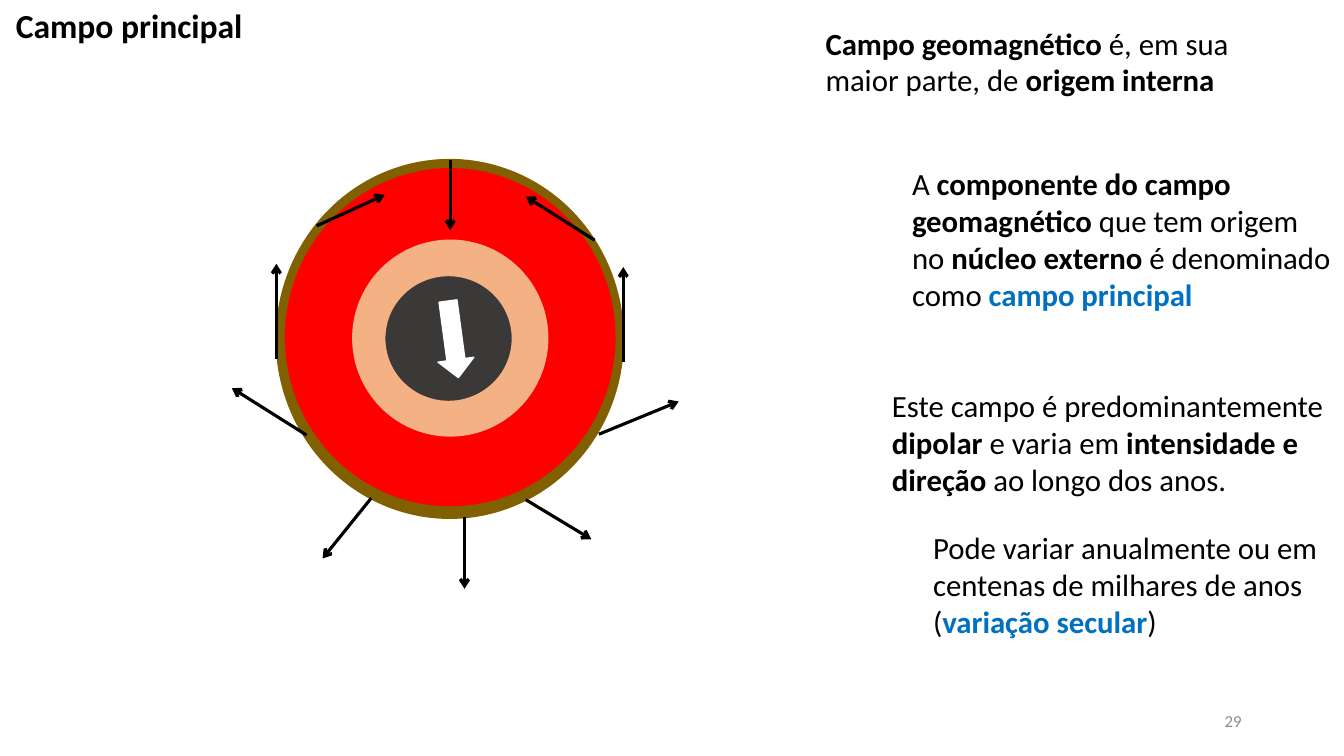
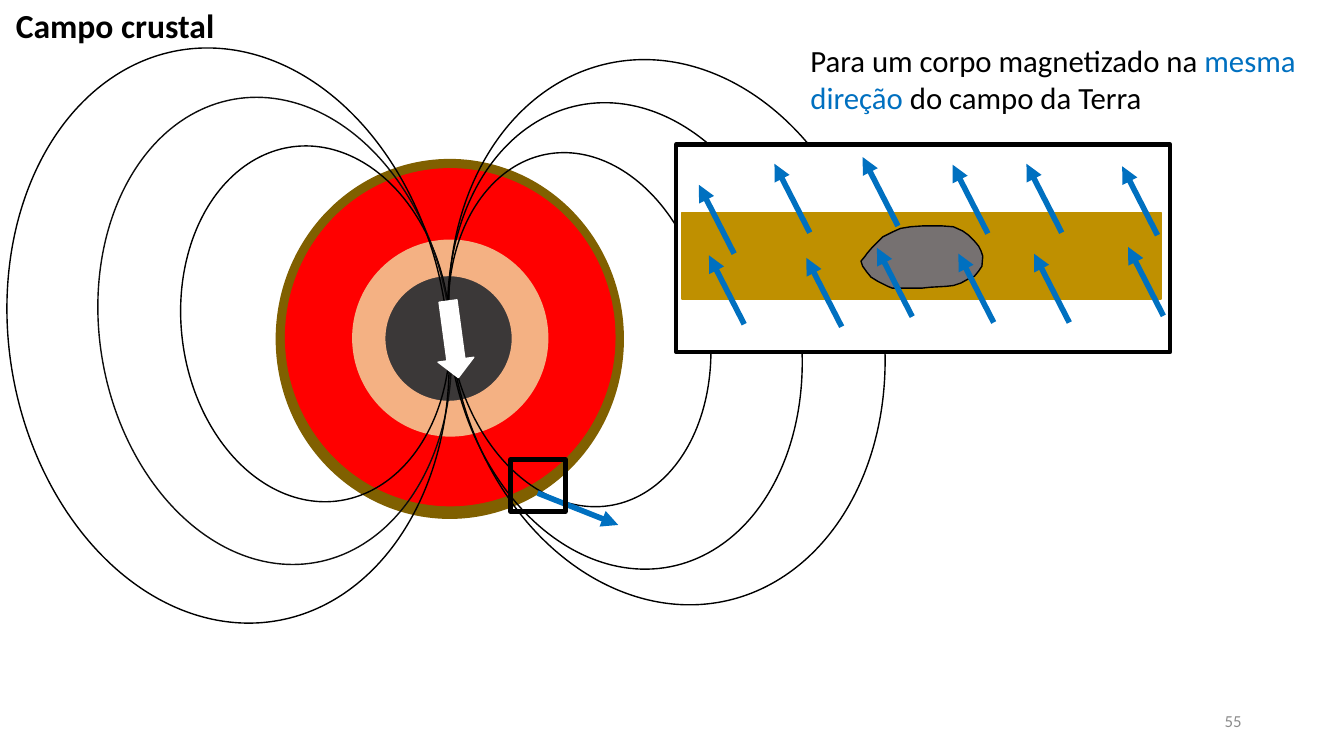
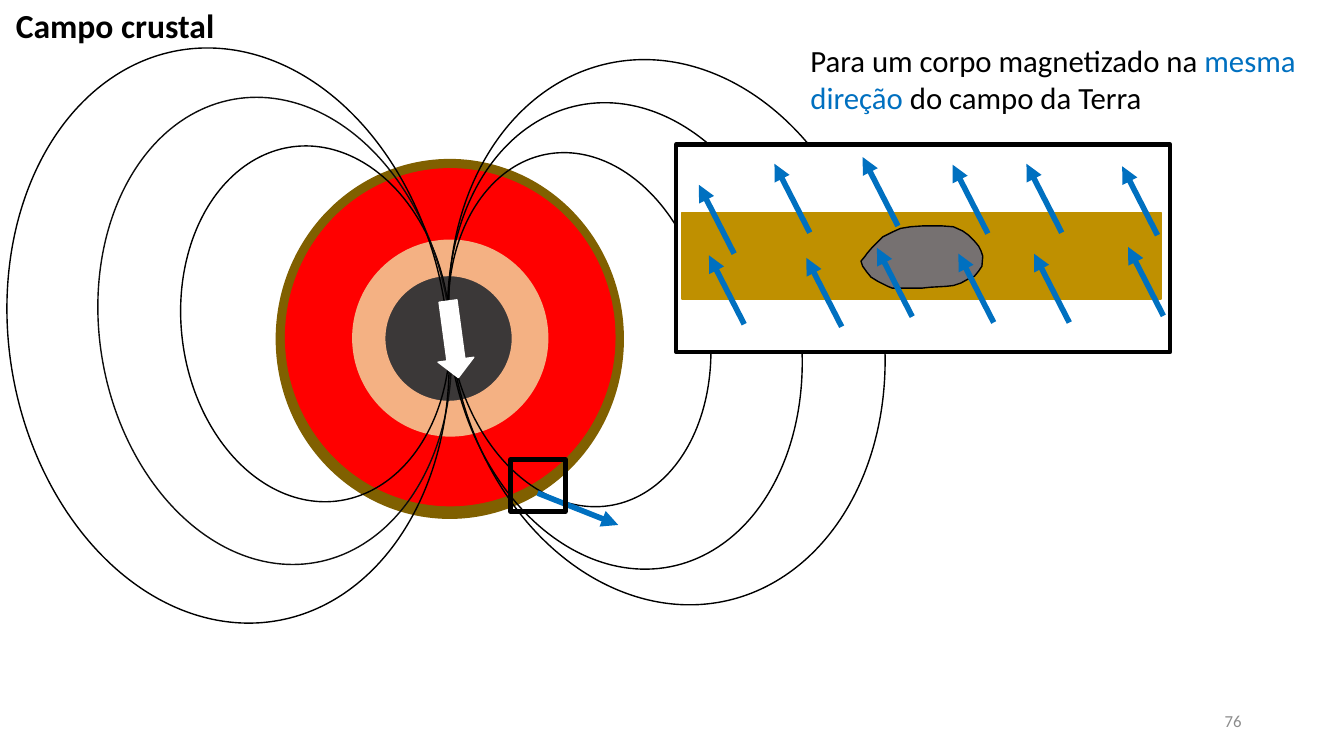
import lxml.etree
import pptx
import pptx.dml.color
import pptx.enum.shapes
import pptx.enum.text
import pptx.oxml.ns
import pptx.util

SHAPE = pptx.enum.shapes.MSO_SHAPE
FONT = "Calibri"
BLACK, WHITE, BLUE, GREY = "000000", "FFFFFF", "0070C0", "8C8C8C"

# Every length below is in cells of a grid of 160 columns by 90 rows
COLUMNS = 160
SLIDE_W, SLIDE_H = pptx.util.Inches(13.333), pptx.util.Inches(7.5)
CELL = SLIDE_W / COLUMNS

# Earth layers, from the crust inwards: box, fill, line
EARTH = [
    ((32.9, 19, 41.3, 42.7), "806000", "806000"),
    ((34, 20.1, 39.2, 40.1), "FF0000", "FF0000"),
    ((42, 28.6, 23.2, 23.3), "F4B183", "F4B183"),
    ((45.8, 32.8, 15.2, 15), "3B3838", "F4B183"),
]

# Field vectors on the Earth's surface: start, end
SURFACE_FIELD = [
    ((55.3, 61.6), (55.3, 70.1)),
    ((62.6, 59.5), (70.4, 64.2)),
    ((71.3, 51.7), (80.8, 47.8)),
    ((74.2, 43.1), (74.2, 31.8)),
    ((70.8, 28.6), (62.6, 23.4)),
    ((53.6, 19), (53.6, 27.4)),
    ((37.7, 26.9), (45.8, 23.2)),
    ((32.9, 42.7), (32.9, 31.4)),
    ((44.2, 59.3), (38.4, 66.5)),
    ((36.5, 51.8), (27.6, 46.2)),
]

# Dipole field lines: box, rotation, line
FIELD_LINES = [
    ((21.6, 17.3, 31.9, 42.5), 352.9, BLACK),
    ((53.6, 18, 30.8, 42.5), 349.3, BLACK),
    ((11.9, 11.4, 41.6, 56), 350, "0D0D0D"),
    ((53.6, 12, 41.6, 56), 348.9, BLACK),
    ((53.8, 6.8, 51.2, 65.5), 347.6, BLACK),
    ((1.1, 5.5, 52.1, 68.9), 350.3, BLACK),
]

# Parallel vectors in the enlarged view: common step, starting points
LOCAL_STEP = (-4.2, -8.2)
LOCAL_FIELD = [
    (96.4, 27.7), (106.9, 26.9), (118.3, 38.4), (108.6, 37.7),
    (100.2, 38.9), (127.3, 38.4), (126.4, 27.7), (137.8, 28),
    (138.5, 37.6), (88.6, 38.6), (87.4, 30.2), (117.6, 27.8),
]

# Outline of the magnetized body
BODY = [
    (102.5, 31.1), (103, 30.5), (103.2, 30.2), (103.8, 29.5),
    (104.5, 28.8), (105.1, 28.2), (106.3, 27.6), (107.2, 27.2),
    (108.4, 27), (109.8, 26.9), (112.2, 26.9), (113.5, 27),
    (114.6, 27.5), (115.3, 28), (116, 28.7), (116.5, 29.3),
    (116.8, 29.9), (117, 30.5), (116.9, 31.7), (116.5, 32.3),
    (116, 32.9), (115.3, 33.2), (114.4, 33.7), (113.5, 34),
    (112.6, 34.1), (110.8, 34.2), (109.8, 34.3), (106.2, 34.3),
    (105.7, 34.1), (104.5, 33.5), (103.7, 33), (103.2, 32.4),
    (102.7, 31.7),
]

# Texts of the main field slide: box, runs as (text, bold, colour)
MAIN_TEXTS = [
    ((97.1, 2.3, 51.8, 10.1), [
        ("Campo geomagnético ", True, BLACK),
        ("é, em sua maior parte, de ", False, BLACK),
        ("origem interna", True, BLACK)]),
    ((107.4, 19, 52.3, 19), [
        ("A ", False, BLACK),
        ("componente do campo geomagnético ", True, BLACK),
        ("que tem origem no ", False, BLACK),
        ("núcleo externo", True, BLACK),
        (" é denominado como ", False, BLACK),
        ("campo principal", True, BLUE)]),
    ((105, 45.5, 59.4, 14.5), [
        ("Este campo é predominantemente ", False, BLACK),
        ("dipolar", True, BLACK),
        (" e varia em ", False, BLACK),
        ("intensidade e direção", True, BLACK),
        (" ao longo dos anos.", False, BLACK)]),
    ((109.9, 62.4, 49.6, 14.5), [
        ("Pode variar anualmente ou em centenas de milhares de anos (",
         False, BLACK),
        ("variação secular", True, BLUE),
        (")", False, BLACK)]),
]
CRUSTAL_TEXT = ((95.3, 4.4, 60.8, 10.1), [
    ("Para um corpo magnetizado na ", False, BLACK),
    ("mesma direção ", False, BLUE),
    ("do campo da Terra", False, BLACK)])


def rgb(value):
    return pptx.dml.color.RGBColor.from_string(value)


def grid(*cells):
    return [pptx.util.Emu(round(c * CELL)) for c in cells]


# Elements
def paint(sp, fill, line, width=1):
    sp.shadow.inherit = False
    if fill:
        sp.fill.solid()
        sp.fill.fore_color.rgb = rgb(fill)
    else:
        sp.fill.background()
    sp.line.color.rgb = rgb(line)
    sp.line.width = pptx.util.Pt(width)


def add_figure(s, kind, box, fill, line, width=1, rotation=0):
    sp = s.shapes.add_shape(kind, *grid(*box))
    sp.rotation = rotation
    paint(sp, fill, line, width)


def add_outline(s, points, fill, line):
    start, *rest = [grid(*point) for point in points]
    builder = s.shapes.build_freeform(*start)
    builder.add_line_segments(rest, close=True)
    paint(builder.convert_to_shape(), fill, line)


def add_arrow(s, start, end, color, width, head):
    line = s.shapes.add_connector(
        pptx.enum.shapes.MSO_CONNECTOR.STRAIGHT, *grid(*start, *end))
    line.line.color.rgb = rgb(color)
    line.line.width = pptx.util.Pt(width)
    qn = pptx.oxml.ns.qn
    lxml.etree.SubElement(line.line._get_or_add_ln(), qn("a:tailEnd"), type=head)
    lxml.etree.SubElement(line._element.spPr, qn("a:effectLst"))


def add_text(s, box, runs, size=22):
    sp = s.shapes.add_textbox(*grid(*box))
    tf = sp.text_frame
    tf.word_wrap = True
    tf.auto_size = pptx.enum.text.MSO_AUTO_SIZE.SHAPE_TO_FIT_TEXT
    p = tf.paragraphs[0]
    p.font.name = FONT
    p.font.size = pptx.util.Pt(size)
    for text, bold, color in runs:
        r = p.add_run()
        r.text = text
        r.font.bold = bold
        r.font.color.rgb = rgb(color)
    return tf


# Parts shared by the slides
def add_slide(prs, title, number):
    s = prs.slides.add_slide(prs.slide_layouts[6])
    add_text(s, (0.7, 0, 32.3, 6), [(title, True, BLACK)], 24)
    tf = add_text(s, (113, 83.4, 36, 4.8), [(str(number), False, GREY)], 12)
    tf.auto_size = pptx.enum.text.MSO_AUTO_SIZE.NONE
    tf.vertical_anchor = pptx.enum.text.MSO_ANCHOR.MIDDLE
    tf.paragraphs[0].alignment = pptx.enum.text.PP_ALIGN.RIGHT
    for box, fill, line in EARTH:
        add_figure(s, SHAPE.OVAL, box, fill, line)
    return s


def add_dipole(s):
    add_figure(s, SHAPE.DOWN_ARROW, (51.8, 35.8, 4.3, 9.2), WHITE, WHITE,
               rotation=352.3)


# Slides
def add_main_field(prs, number):
    s = add_slide(prs, "Campo principal", number)
    add_dipole(s)
    for start, end in SURFACE_FIELD:
        add_arrow(s, start, end, BLACK, 2.25, "arrow")
    for box, runs in MAIN_TEXTS:
        add_text(s, box, runs)


def add_crustal_field(prs, number):
    s = add_slide(prs, "Campo crustal", number)
    for box, rotation, line in FIELD_LINES:
        add_figure(s, SHAPE.OVAL, box, None, line, rotation=rotation)
    add_dipole(s)

    # Enlarged view of the crust
    add_figure(s, SHAPE.RECTANGLE, (80.5, 17.2, 58.8, 24.7), WHITE, BLACK, 3.25)
    add_figure(s, SHAPE.RECTANGLE, (81.2, 25.3, 57, 10.3), "BF9000", "BF9000")
    add_outline(s, BODY, "767171", BLACK)
    dx, dy = LOCAL_STEP
    for x, y in LOCAL_FIELD:
        add_arrow(s, (x, y), (x + dx, y + dy), BLUE, 4, "triangle")

    # Place on the globe that is enlarged
    add_arrow(s, (64, 58.7), (73.6, 62.5), BLUE, 4, "triangle")
    add_figure(s, SHAPE.RECTANGLE, (60.8, 54.7, 6.5, 6.2), None, BLACK, 3.5)
    add_text(s, *CRUSTAL_TEXT)


def main():
    prs = pptx.Presentation()
    prs.slide_width, prs.slide_height = SLIDE_W, SLIDE_H
    add_main_field(prs, 29)
    for number in (55, 76):
        add_crustal_field(prs, number)
    prs.save("out.pptx")


if __name__ == "__main__":
    main()
